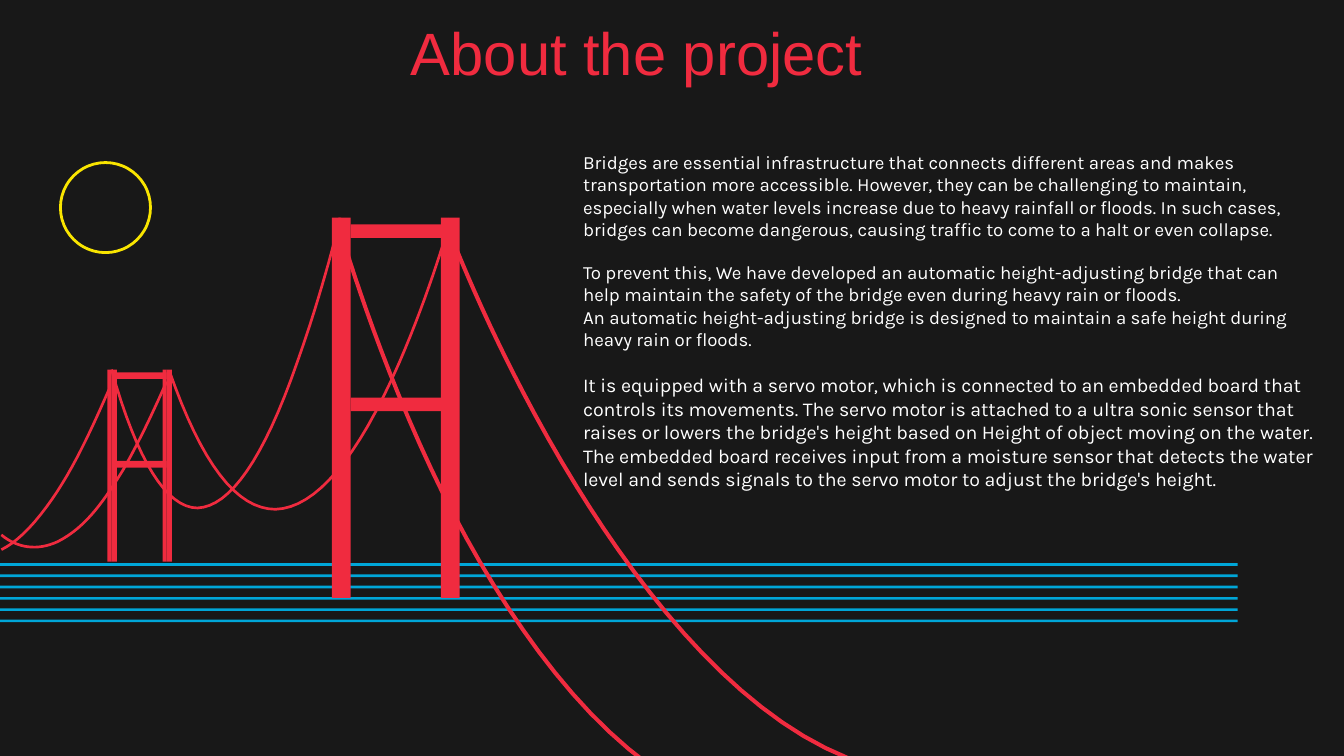
from itertools import pairwise

from pptx import Presentation
from pptx.dml.color import RGBColor
from pptx.enum import shapes, text
from pptx.util import Inches, Pt

RED, BLUE, YELLOW, WHITE, NIGHT = "F02B3F", "00A6D8", "F9E500", "FFFFFF", "181818"

STORY = [
    ("Bridges are essential infrastructure that connects different areas and makes "
     "transportation more accessible. However, they can be challenging to maintain, "
     "especially when water levels increase due to heavy rainfall or floods. In such "
     "cases, bridges can become dangerous, causing traffic to come to a halt or even "
     "collapse.", 10, 0),
    ("To prevent this, We have developed an automatic height-adjusting bridge that can "
     "help maintain the safety of the bridge even during heavy rain or floods.", 10, 11),
    ("An automatic height-adjusting bridge is designed to maintain a safe height during "
     "heavy rain or floods.", 10, 0),
    ("It is equipped with a servo motor, which is connected to an embedded board that "
     "controls its movements. The servo motor is attached to a ultra sonic sensor that "
     "raises or lowers the bridge's height based on Height of object moving on the water. "
     "The embedded board receives input from a moisture sensor that detects the water "
     "level and sends signals to the servo motor to adjust the bridge's height.", 10.5, 12),
]

CABLES = [
    (0.02, [(0.01, 4.09), (0.11, 4.04), (0.19, 3.96), (0.26, 3.88),
            (0.5, 3.6), (0.66, 3.24), (0.81, 2.9)]),
    (0.02, [(0.01, 3.98), (0.13, 4.08), (0.28, 4.1), (0.43, 4.03),
            (0.65, 3.92), (0.79, 3.7), (0.92, 3.49),
            (1.06, 3.24), (1.15, 3.04), (1.24, 2.84)]),
    (0.02, [(0.83, 2.75), (1.02, 3.43), (1.24, 3.78), (1.47, 3.78),
            (1.71, 3.77), (1.96, 3.42), (2.21, 2.7),
            (2.4, 2.17), (2.53, 1.64), (2.53, 1.62)]),
    (0.02, [(1.26, 2.76), (1.5, 3.45), (1.76, 3.79), (2.05, 3.79),
            (2.35, 3.78), (2.66, 3.41), (2.97, 2.7),
            (3.2, 2.17), (3.35, 1.65), (3.35, 1.63)]),
    (0.03, [(2.52, 1.68), (2.53, 1.7), (2.8, 2.67), (3.3, 3.68),
            (3.73, 4.54), (4.42, 5.6), (5.3, 5.96)]),
    (0.03, [(3.33, 1.69), (3.34, 1.71), (3.69, 2.65), (4.29, 3.62),
            (4.79, 4.43), (5.56, 5.43), (6.48, 5.7)]),
]


def rgb(color):
    """Turn a hex string into a colour."""
    return RGBColor.from_string(color)


def paint(shape, color):
    """Give a shape a plain fill without line or shadow."""
    shape.shadow.inherit = False
    shape.fill.solid()
    shape.fill.fore_color.rgb = rgb(color)
    shape.line.fill.background()


def add_bar(slide, left, top, width, height, color):
    """Add a filled rectangle."""
    box = map(Inches, (left, top, width, height))
    paint(slide.shapes.add_shape(shapes.MSO_SHAPE.RECTANGLE, *box), color)


def bezier(p0, p1, p2, p3, t):
    """Return the point at t on a cubic curve."""
    weights = ((1 - t) ** 3, 3 * t * (1 - t) ** 2, 3 * t * t * (1 - t), t ** 3)
    return tuple(sum(w * p[axis] for w, p in zip(weights, (p0, p1, p2, p3)))
                 for axis in (0, 1))


def add_cable(slide, thickness, controls, steps=16):
    """Add a curved band of even thickness along joined cubic curves."""
    centre = [controls[0]]
    for i in range(0, len(controls) - 1, 3):
        centre += [bezier(*controls[i:i + 4], step / steps) for step in range(1, steps + 1)]
    slopes = [(bx - ax, by - ay) for (ax, ay), (bx, by) in pairwise(centre)]
    slopes.append(slopes[-1])
    upper, lower = [], []
    for (x, y), (dx, dy) in zip(centre, slopes):
        reach = thickness / 2 / (dx * dx + dy * dy) ** 0.5
        upper.append((Inches(x + dy * reach), Inches(y - dx * reach)))
        lower.append((Inches(x - dy * reach), Inches(y + dx * reach)))
    outline = upper + lower[::-1]
    builder = slide.shapes.build_freeform(*outline[0])
    builder.add_line_segments(outline[1:], close=True)
    paint(builder.convert_to_shape(), RED)


def add_tower(slide, left, top, height, leg_widths, spacing, beam_drops, beam_height):
    """Add a bridge tower with two split legs and two cross beams."""
    outer, inner = leg_widths
    for leg in (left, left + spacing):
        add_bar(slide, leg, top, outer, height, RED)
        add_bar(slide, leg + outer, top, inner, height, RED)
    for drop in beam_drops:
        add_bar(slide, left + outer + inner, top + drop, spacing - inner, beam_height, RED)


def add_water(slide, first=4.19, last=4.61, count=6):
    """Add evenly spaced water lines."""
    for i in range(count):
        add_bar(slide, 0, first + i * (last - first) / (count - 1), 9.21, 0.02, BLUE)


def add_sun(slide):
    """Add the outlined sun."""
    sun = slide.shapes.add_shape(
        shapes.MSO_SHAPE.OVAL, Inches(0.45), Inches(1.21), Inches(0.67), Inches(0.67))
    sun.shadow.inherit = False
    sun.fill.background()
    sun.line.color.rgb = rgb(YELLOW)
    sun.line.width = Pt(1.5)


def format_frame(frame, bottom=0.1):
    """Set wrapping, middle anchor and margins of a text frame."""
    frame.word_wrap = True
    frame.auto_size = text.MSO_AUTO_SIZE.NONE
    frame.vertical_anchor = text.MSO_ANCHOR.MIDDLE
    frame.margin_left = frame.margin_top = frame.margin_right = Inches(0.1)
    frame.margin_bottom = Inches(bottom)


def write(paragraph, words, size, font, color):
    """Fill a paragraph and set its font."""
    paragraph.text = words
    paragraph.font.size = Pt(size)
    paragraph.font.name = font
    paragraph.font.color.rgb = rgb(color)


def add_title(slide):
    """Place and format the title."""
    title = slide.shapes.title
    title.left, title.top = Inches(1.63), Inches(0)
    title.width, title.height = Inches(6.22), Inches(0.77)
    format_frame(title.text_frame)
    heading = title.text_frame.paragraphs[0]
    write(heading, "About the project", 32, "Arial", RED)
    heading.alignment = text.PP_ALIGN.CENTER


def add_story(slide):
    """Add the project description."""
    frame = slide.shapes.add_textbox(
        Inches(4.24), Inches(0.75), Inches(5.67), Inches(3.44)).text_frame
    format_frame(frame, bottom=0.27)
    for i, (words, size, gap) in enumerate(STORY):
        paragraph = frame.add_paragraph() if i else frame.paragraphs[0]
        write(paragraph, words, size, "Karla", WHITE)
        if gap:
            paragraph.space_before = Pt(gap)


def main():
    """Build the slide and save it."""
    deck = Presentation()
    deck.slide_width, deck.slide_height = Inches(10), Inches(10) * 9 // 16
    slide = deck.slides.add_slide(deck.slide_layouts[5])
    slide.background.fill.solid()
    slide.background.fill.fore_color.rgb = rgb(NIGHT)
    add_water(slide)
    add_title(slide)
    add_story(slide)
    for thickness, controls in CABLES:
        add_cable(slide, thickness, controls)
    add_tower(slide, 2.47, 1.62, 2.83, (0.06, 0.08), 0.81, (0.05, 1.34), 0.1)
    add_tower(slide, 0.8, 2.75, 1.43, (0.03, 0.04), 0.41, (0.02, 0.68), 0.05)
    add_sun(slide)
    deck.save("out.pptx")


if __name__ == "__main__":
    main()
